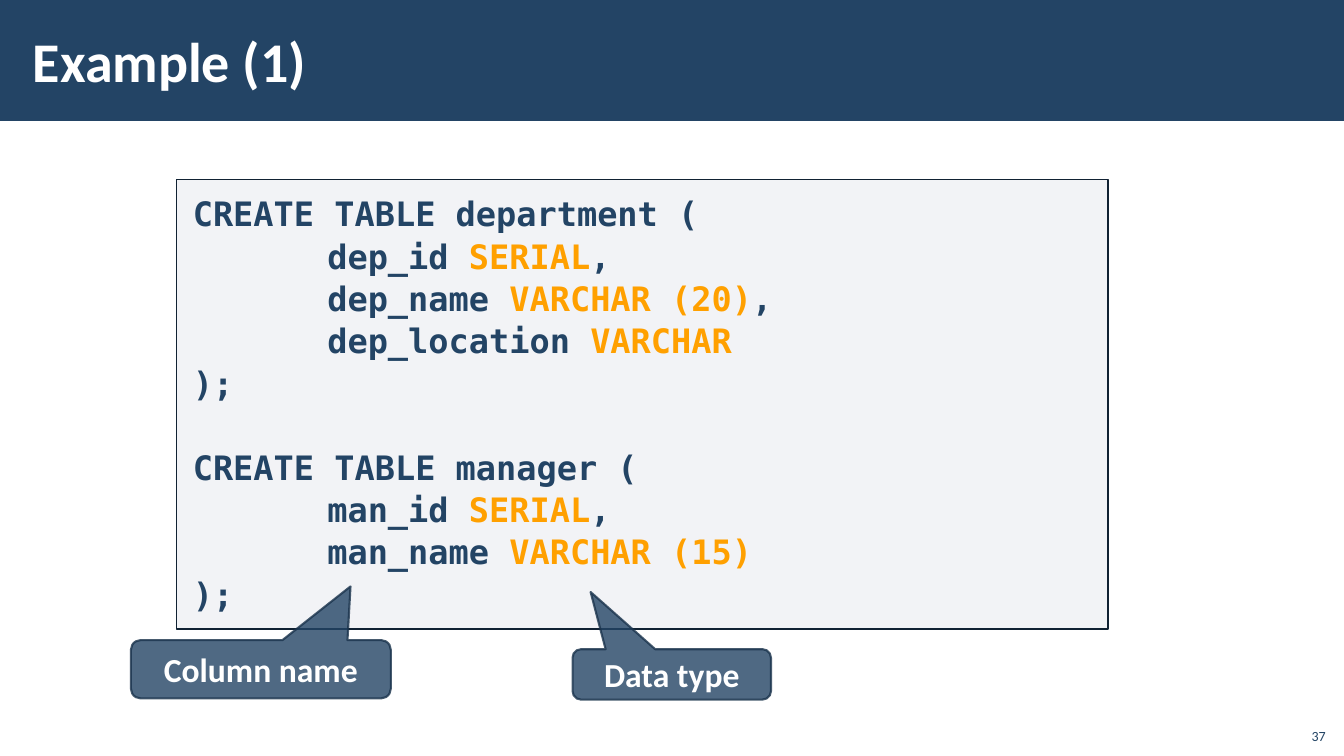
from dataclasses import dataclass

from lxml import etree
from pptx import Presentation, util as u
from pptx.dml.color import RGBColor
from pptx.enum import shapes, text
from pptx.oxml.ns import qn


@dataclass(frozen=True)
class Theme:
    navy: str = "234465"
    white: str = "FFFFFF"
    orange: str = "FFA000"
    panel: str = "ADB4C3"
    panel_edge: str = "112233"
    callout_edge: str = "1A334C"
    body_font: str = "Calibri"
    code_font: str = "DejaVu Sans Mono"
    title_size: int = 40
    text_size: int = 24
    number_size: int = 10


def paint(fill, color, opacity=100):
    fill.solid()
    fill.fore_color.rgb = RGBColor.from_string(color)
    if opacity < 100:
        for srgb in fill._xPr.iter(qn("a:srgbClr")):
            etree.SubElement(srgb, qn("a:alpha"), val=str(opacity * 1000))


class SlideBuilder:
    def __init__(self, slide, theme):
        self.slide = slide
        self.theme = theme

    def shape(self, kind, box, color, opacity=100, edge=None, edge_width=1, edge_opacity=100):
        shape = self.slide.shapes.add_shape(kind, *map(u.Cm, box))
        shape.shadow.inherit = False
        paint(shape.fill, color, opacity)
        if edge:
            paint(shape.line.fill, edge, edge_opacity)
            shape.line.width = u.Pt(edge_width)
        else:
            shape.line.fill.background()
        return shape

    def run(self, paragraph, words, color, size, font=None, bold=True):
        run = paragraph.add_run()
        run.text = words
        run.font.name = font or self.theme.body_font
        run.font.size = u.Pt(size)
        run.font.bold = bold
        run.font.color.rgb = RGBColor.from_string(color)

    def frame(self, shape, anchor, insets=(0.25, 0.13)):
        frame = shape.text_frame
        frame.word_wrap = True
        frame.vertical_anchor = anchor
        frame.margin_left = frame.margin_right = u.Cm(insets[0])
        frame.margin_top = frame.margin_bottom = u.Cm(insets[1])
        return frame

    def label(self, box, words, color, size, anchor, align, insets=(0.25, 0.13), bold=True):
        label = self.slide.shapes.add_textbox(*map(u.Cm, box))
        paragraph = self.frame(label, anchor, insets).paragraphs[0]
        paragraph.alignment = align
        self.run(paragraph, words, color, size, bold=bold)

    def code(self, box, tables):
        t = self.theme
        panel = self.shape(shapes.MSO_SHAPE.RECTANGLE, box, t.panel, 15, t.panel_edge)
        frame = self.frame(panel, text.MSO_ANCHOR.TOP, (0.41, 0.3))

        def line(*parts, indent=0, before=0):
            first = not frame.paragraphs[0].runs
            paragraph = frame.paragraphs[0] if first else frame.add_paragraph()
            paragraph.alignment = text.PP_ALIGN.LEFT
            paragraph.line_spacing = 1.05
            paragraph.space_before = u.Pt(before)
            paragraph._p.get_or_add_pPr().set("marL", str(u.Cm(indent)))
            for words, color in parts:
                self.run(paragraph, words, color, t.text_size, t.code_font)

        for index, (table, columns) in enumerate(tables.items()):
            line((f"CREATE TABLE {table} (", t.navy), before=30 if index else 0)
            for number, (column, data_type) in enumerate(columns, 1):
                parts = [(f"{column} ", t.navy), (data_type, t.orange)]
                if number < len(columns):
                    parts.append((",", t.navy))
                line(*parts, indent=3.39)
            line((");", t.navy))

    def callout(self, box, words, tip):
        t = self.theme
        callout = self.shape(shapes.MSO_SHAPE.ROUNDED_RECTANGULAR_CALLOUT, box,
                             t.navy, 80, t.callout_edge, 1.5, 80)
        for index, value in enumerate((*tip, 0.167)):
            callout.adjustments[index] = value
        paragraph = self.frame(callout, text.MSO_ANCHOR.MIDDLE).paragraphs[0]
        paragraph.alignment = text.PP_ALIGN.CENTER
        self.run(paragraph, words, t.white, t.text_size)


def main():
    deck = Presentation()
    deck.slide_width, deck.slide_height = u.Cm(33.87), u.Cm(19.05)
    theme = Theme()
    builder = SlideBuilder(deck.slides.add_slide(deck.slide_layouts[6]), theme)

    # Header band and page number
    builder.shape(shapes.MSO_SHAPE.RECTANGLE, (0, 0, 33.87, 3.05), theme.navy)
    builder.label((32.64, 18.08, 1.02, 0.81), "37", theme.navy, theme.number_size,
                  text.MSO_ANCHOR.BOTTOM, text.PP_ALIGN.RIGHT, bold=False)

    # SQL listing
    builder.code((4.45, 4.52, 23.47, 11.33), {
        "department": [("dep_id", "SERIAL"), ("dep_name", "VARCHAR (20)"),
                       ("dep_location", "VARCHAR")],
        "manager": [("man_id", "SERIAL"), ("man_name", "VARCHAR (15)")],
    })

    # Title
    builder.label((0.53, 0.28, 27, 2.46), "Example (1)", theme.white, theme.title_size,
                  text.MSO_ANCHOR.MIDDLE, text.PP_ALIGN.LEFT, (0.3, 0.1))

    # Callouts pointing at the last column
    builder.callout((3.3, 16.13, 6.55, 1.47), "Column name", (0.345, -1.42))
    builder.callout((14.43, 16.36, 5, 1.27), "Data type", (-0.409, -1.635))

    deck.save("out.pptx")


if __name__ == "__main__":
    main()
